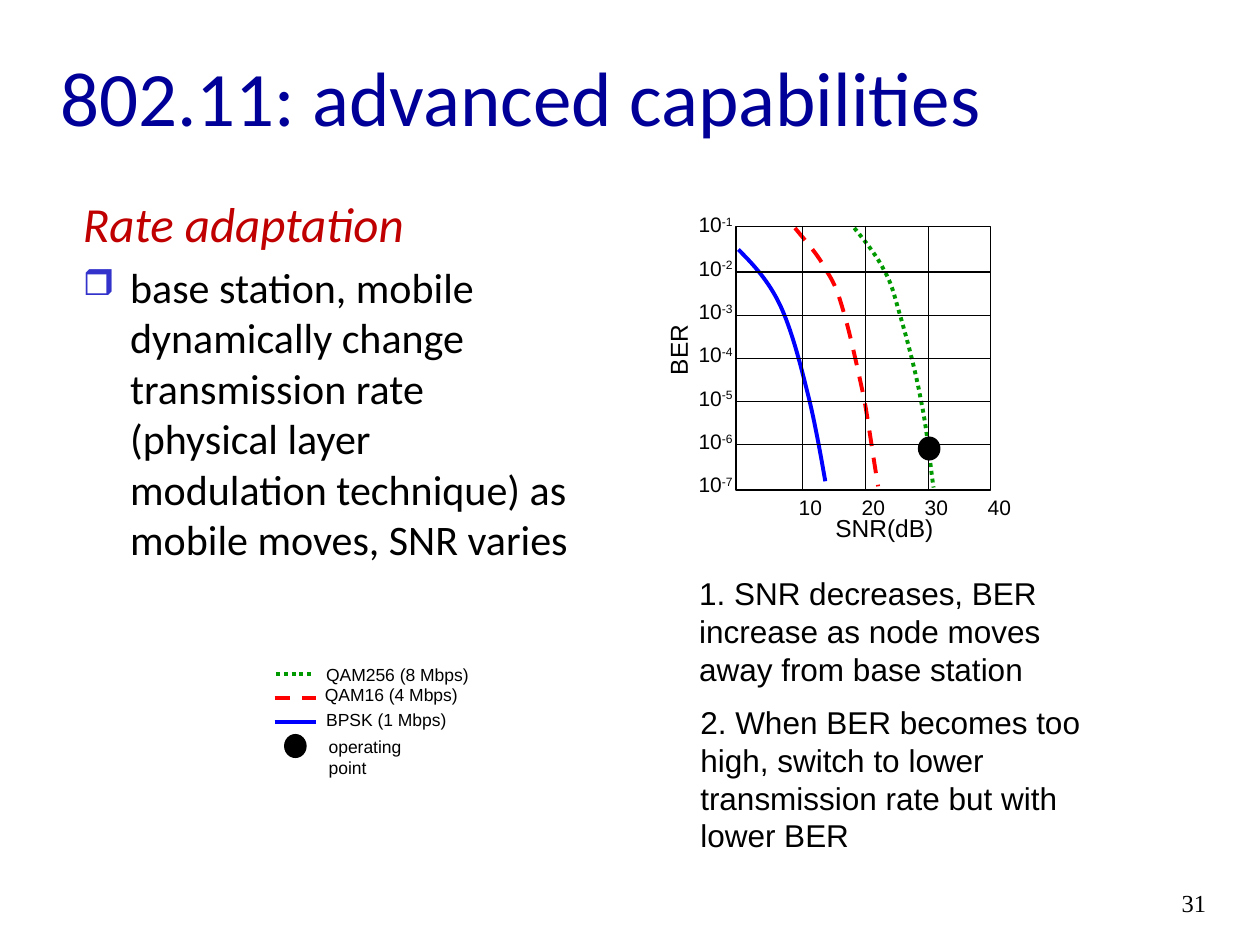
from lxml.etree import SubElement
from pptx import Presentation
from pptx.dml.color import RGBColor
from pptx.enum.dml import MSO_LINE
from pptx.enum.shapes import MSO_CONNECTOR, MSO_SHAPE
from pptx.enum.text import MSO_ANCHOR, PP_ALIGN
from pptx.oxml.ns import qn
from pptx.util import Pt

# Content
TITLE = "802.11: advanced capabilities"
HEADING = "Rate adaptation"
BULLET = ("base station, mobile dynamically change transmission rate "
          "(physical layer modulation technique) as mobile moves, SNR varies")
NOTES = [  # text, left, top, height
    ("1. SNR decreases, BER increase as node moves away from base station", 392.4, 324.7, 72),
    ("2. When BER becomes too high, switch to lower transmission rate but with lower BER",
     393.1, 398.2, 93.6),
]
SNR_TICKS = ["10", "20", "30", "40"]
BER_EXPONENTS = ["-1", "-2", "-3", "-4", "-5", "-6", "-7"]
LEGEND = [  # label, label left, top, width, curve, key left, key right, key y
    ("QAM256 (8 Mbps)", 179.3, 375.8, 95.8, "qam256", 157.7, 179.3, 385.2),
    ("QAM16 (4 Mbps)", 178.6, 387.4, 90.7, "qam16", 157, 180.7, 398.9),
    ("BPSK (1 Mbps)", 179.3, 401.8, 82.8, "bpsk", 157, 180.7, 412.6),
    ("operating point", 180.7, 416.9, 79.9, None, 162.7, None, 419.8),
]
CURVES = {  # start point, then three Bezier points per segment
    "bpsk": [(421.9, 142.6), (430.6, 151.2), (439.2, 160.6), (445.7, 174.2),
             (452.2, 187.9), (457.2, 207.4), (461.5, 224.6),
             (465.8, 241.2), (470.2, 267.1), (471.6, 275)],
    "qam16": [(454.3, 130.3), (460.8, 138.2), (468, 146.2), (472.3, 154.8),
              (477.4, 162.7), (478.8, 167), (482.4, 179.3),
              (486, 191.5), (490.3, 211.7), (493.9, 228.2),
              (496.8, 244.8), (499, 261.4), (501.8, 277.9)],
    "qam256": [(488.2, 130.3), (494.6, 138.2), (501.1, 146.2), (505.4, 154.8),
               (509.8, 162.7), (510.5, 167), (514.1, 179.3),
               (517.7, 191.5), (523.4, 212.4), (526.3, 229),
               (529.9, 245.5), (532.1, 270.7), (533.5, 278.6)],
}

THEME = {
    "title": "000099", "heading": "C00000", "bullet": "3333CC", "ink": "000000",
    "curve": {"bpsk": ("0000FF", None), "qam16": ("FF0000", MSO_LINE.DASH),
              "qam256": ("009900", MSO_LINE.ROUND_DOT)},
    "body_font": "Calibri", "label_font": "Arial", "number_font": "Times New Roman",
    "title_size": 44, "heading_size": 28, "body_size": 24, "note_size": 18,
    "axis_size": 14, "tick_size": 12, "legend_size": 10,
    "curve_width": 2.25, "thin": 0.75,
}

# Plot geometry
LEFT, TOP, WIDTH, HEIGHT = 420.5, 129.6, 145.4, 150.4
ROW_START, ROW_STEP = 155.5, 24.65
COL_START, COL_STEP = 458.6, 36
DOT = (12.2, 13)

prs = Presentation()
prs.slide_width, prs.slide_height = Pt(720), Pt(540)
s = prs.slides.add_slide(prs.slide_layouts[6])


def style_run(p, text, size, font, color="ink", italic=False, raised=False):
    r = p.add_run()
    r.text = text
    r.font.size, r.font.name, r.font.italic = Pt(size), font, italic
    r.font.color.rgb = RGBColor.from_string(THEME[color])
    if raised:
        r.font._element.set("baseline", "30000")


def add_text(text, x, y, w, h, size, font=THEME["label_font"], color="ink", italic=False,
             wrap=False, anchor=MSO_ANCHOR.TOP, align=PP_ALIGN.LEFT, exponent=None):
    sp = s.shapes.add_textbox(Pt(x), Pt(y), Pt(w), Pt(h))
    tf = sp.text_frame
    tf.word_wrap, tf.vertical_anchor = wrap, anchor
    p = tf.paragraphs[0]
    p.alignment = align
    style_run(p, text, size, font, color, italic)
    if exponent:
        style_run(p, exponent, size, font, color, raised=True)
    return sp


def style_line(sp, color, width, dash=None):
    sp.line.color.rgb = RGBColor.from_string(color)
    sp.line.width = Pt(width)
    if dash:
        sp.line.dash_style = dash


def add_line(x1, y1, x2, y2, color=THEME["ink"], width=THEME["thin"], dash=None):
    c = s.shapes.add_connector(MSO_CONNECTOR.STRAIGHT, Pt(x1), Pt(y1), Pt(x2), Pt(y2))
    style_line(c, color, width, dash)
    SubElement(c._element.spPr, qn("a:effectLst"))
    return c


def add_curve(points, color, dash):
    start, *rest = [(Pt(x), Pt(y)) for x, y in points]
    fb = s.shapes.build_freeform(*start)
    fb.add_line_segments(rest, close=False)
    sp = fb.convert_to_shape()
    # Join each three straight steps into one cubic segment
    steps = list(sp._element.iter(qn("a:lnTo")))
    outline = steps[0].getparent()
    for i in range(0, len(steps), 3):
        cubic = SubElement(outline, qn("a:cubicBezTo"))
        for step in steps[i:i + 3]:
            cubic.append(step[0])
            outline.remove(step)
    sp.fill.background()
    sp.shadow.inherit = False
    style_line(sp, color, THEME["curve_width"], dash)


def add_shape(kind, x, y, w, h, fill=None):
    sp = s.shapes.add_shape(kind, Pt(x), Pt(y), Pt(w), Pt(h))
    sp.shadow.inherit = False
    if fill:
        sp.fill.solid()
        sp.fill.fore_color.rgb = RGBColor.from_string(fill)
    else:
        sp.fill.background()
    style_line(sp, THEME["ink"], THEME["thin"])
    return sp


# Title and body
add_text(TITLE, 27.4, 21.6, 612, 66.2, THEME["title_size"], THEME["body_font"], "title",
         wrap=True, anchor=MSO_ANCHOR.MIDDLE)
body = add_text(HEADING, 40.3, 107.3, 295.2, 365.8, THEME["heading_size"],
                THEME["body_font"], "heading", italic=True, wrap=True)
p = body.text_frame.add_paragraph()
p.space_before = Pt(5)
pPr = p._p.get_or_add_pPr()
pPr.set("marL", str(Pt(27)))
pPr.set("indent", str(-Pt(27)))
SubElement(SubElement(pPr, qn("a:buClr")), qn("a:srgbClr"), val=THEME["bullet"])
SubElement(pPr, qn("a:buSzPct"), val="85000")
SubElement(pPr, qn("a:buChar"), char="❒")
style_run(p, BULLET, THEME["body_size"], THEME["body_font"])

# Legend
for label, x, y, w, curve, key_x, key_end, key_y in LEGEND:
    if curve:
        color, dash = THEME["curve"][curve]
        add_line(key_x, key_y, key_end, key_y, color, THEME["curve_width"], dash)
    else:
        add_shape(MSO_SHAPE.OVAL, key_x, key_y, *DOT, fill=THEME["ink"])
    add_text(label, x, y, w, 19.4, THEME["legend_size"])

# Curves, frame and grid
for name, points in CURVES.items():
    add_curve(points, *THEME["curve"][name])
frame = add_shape(MSO_SHAPE.RECTANGLE, LEFT, TOP, WIDTH, HEIGHT)
for i in range(5):
    y = ROW_START + i * ROW_STEP
    line = add_line(LEFT, y, LEFT + WIDTH, y)
    if i == 2:  # the middle row meets the frame at its side midpoints
        line.begin_connect(frame, 1)
        line.end_connect(frame, 3)
for i in range(3):
    x = COL_START + i * COL_STEP
    add_line(x, TOP, x, TOP + HEIGHT)

# Axis labels
for i, tick in enumerate(SNR_TICKS):
    add_text(tick, 449.3 + i * COL_STEP, 279, 28.1, 21.6, THEME["tick_size"])
for i, exponent in enumerate(BER_EXPONENTS):
    add_text("10", 392.1, 117.4 + i * 24.8, 34.6, 21.6, THEME["tick_size"], exponent=exponent)
add_text("SNR(dB)", 470.2, 289.4, 70.6, 23.8, THEME["axis_size"])
add_text("BER", 365.8, 187.9, 43.2, 23.8, THEME["axis_size"]).rotation = 270

# Operating point, notes and slide number
add_shape(MSO_SHAPE.OVAL, 524.9, 249.8, *DOT, fill=THEME["ink"])
for text, x, y, h in NOTES:
    add_text(text, x, y, 252, h, THEME["note_size"], wrap=True)
add_text("31", 643, 504, 53.3, 36, THEME["axis_size"], THEME["number_font"],
         wrap=True, align=PP_ALIGN.RIGHT)

prs.save("out.pptx")
